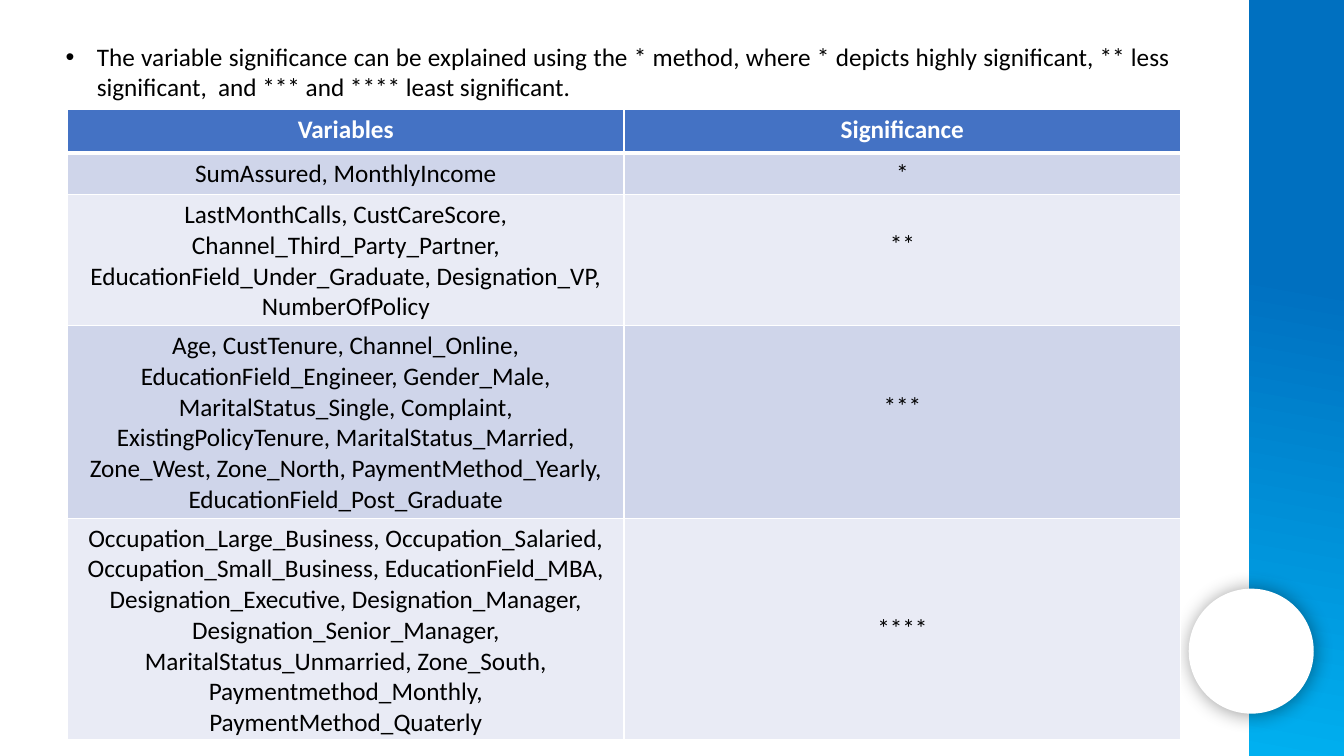
import pptx
import pptx.util
import pptx.dml.color
import pptx.enum.shapes
import pptx.enum.text
import pptx.oxml

PIXEL = 9144
DRAWING = 'xmlns:a="http://schemas.openxmlformats.org/drawingml/2006/main"'
ALIGN = pptx.enum.text.PP_ALIGN
SHAPES = pptx.enum.shapes.MSO_SHAPE


def color(code):
    return pptx.dml.color.RGBColor.from_string(code)


def write(para, text, size=18, code="000000", bold=False, align=ALIGN.CENTER):
    para.alignment = align
    span = para.add_run()
    span.text = text
    span.font.name = "Calibri"
    span.font.size = pptx.util.Pt(size)
    span.font.bold = bold
    span.font.color.rgb = color(code)


deck = pptx.Presentation()
deck.slide_width = 1333 * PIXEL
deck.slide_height = 750 * PIXEL
page = deck.slides.add_slide(deck.slide_layouts[1])
title = page.shapes.title
title.element.getparent().remove(title.element)

band = page.shapes.add_shape(SHAPES.RECTANGLE, 1239 * PIXEL, 0, 94 * PIXEL, 750 * PIXEL)
band.shadow.inherit = False
band.line.fill.background()
band.fill.gradient()
band.fill.gradient_angle = 260
for stop, position, code in zip(band.fill.gradient_stops, (0.37, 1), ("0070C0", "00B0F0")):
    stop.position = position
    stop.color.rgb = color(code)

circle = page.shapes.add_shape(SHAPES.OVAL, 1179 * PIXEL, 584 * PIXEL, 124 * PIXEL, 124 * PIXEL)
circle.shadow.inherit = False
circle.line.fill.background()
circle.fill.solid()
circle.fill.fore_color.rgb = color("FFFFFF")
circle.element.spPr.find(pptx.oxml.ns.qn("a:effectLst")).append(pptx.oxml.parse_xml(
    f'<a:outerShdw {DRAWING} blurRad="177800" dist="12700" dir="2580000" algn="tl" rotWithShape="0">'
    '<a:srgbClr val="000000"><a:alpha val="40000"/></a:srgbClr></a:outerShdw>'))

body = page.placeholders[1]
body.left, body.top, body.width, body.height = [n * PIXEL for n in (55, 36, 1116, 71)]
body.text_frame.auto_size = pptx.enum.text.MSO_AUTO_SIZE.SHAPE_TO_FIT_TEXT
para = body.text_frame.paragraphs[0]
para.space_before = pptx.util.Pt(0)
write(para, "The variable significance can be explained using the * method, where * depicts highly "
      "significant, ** less significant,  and *** and **** least significant. ", align=ALIGN.JUSTIFY)
indent = para._p.get_or_add_pPr()
indent.set("marL", str(31 * PIXEL))
indent.set("indent", str(-31 * PIXEL))

rows = [
    (43, "4472C4", 0, ["Variables"], "Significance"),
    (41, "CFD5EA", 0, ["SumAssured, MonthlyIncome"], "*"),
    (129, "E9EBF5", 1, [
        "LastMonthCalls, CustCareScore, Channel_Third_Party_Partner, "
        "EducationField_Under_Graduate, Designation_VP,", "NumberOfPolicy"], "**"),
    (191, "CFD5EA", 2, [
        "Age, CustTenure, Channel_Online, EducationField_Engineer, Gender_Male, "
        "MaritalStatus_Single, Complaint, ExistingPolicyTenure, MaritalStatus_Married, "
        "Zone_West, Zone_North, PaymentMethod_Yearly, EducationField_Post_Graduate"], "***"),
    (219, "E9EBF5", 3, [
        "Occupation_Large_Business, Occupation_Salaried, Occupation_Small_Business, "
        "EducationField_MBA, Designation_Executive, Designation_Manager, "
        "Designation_Senior_Manager, MaritalStatus_Unmarried, Zone_South, "
        "Paymentmethod_Monthly, PaymentMethod_Quaterly"], "****"),
]
table = page.shapes.add_table(
    len(rows), 2, 67 * PIXEL, 109 * PIXEL, 1104 * PIXEL, 623 * PIXEL).table
for row, (height, fill, lines_down, variables, significance) in enumerate(rows):
    table.rows[row].height = height * PIXEL
    header = row == 0
    for column, texts in enumerate((variables, [significance])):
        cell = table.cell(row, column)
        cell.margin_top = (5 + 30 * lines_down * column) * PIXEL
        cell.fill.solid()
        cell.fill.fore_color.rgb = color(fill)
        for index, text in enumerate(texts):
            para = cell.text_frame.add_paragraph() if index else cell.text_frame.paragraphs[0]
            write(para, text, code="FFFFFF" if header else "000000", bold=header)
        for place, side in enumerate("LRTB"):
            thick = (header and side == "B") or (row == 1 and side == "T")
            cell._tc.get_or_add_tcPr().insert(place, pptx.oxml.parse_xml(
                f'<a:ln{side} {DRAWING} w="{38100 if thick else 12700}"><a:solidFill>'
                f'<a:srgbClr val="FFFFFF"/></a:solidFill></a:ln{side}>'))

deck.save("out.pptx")
